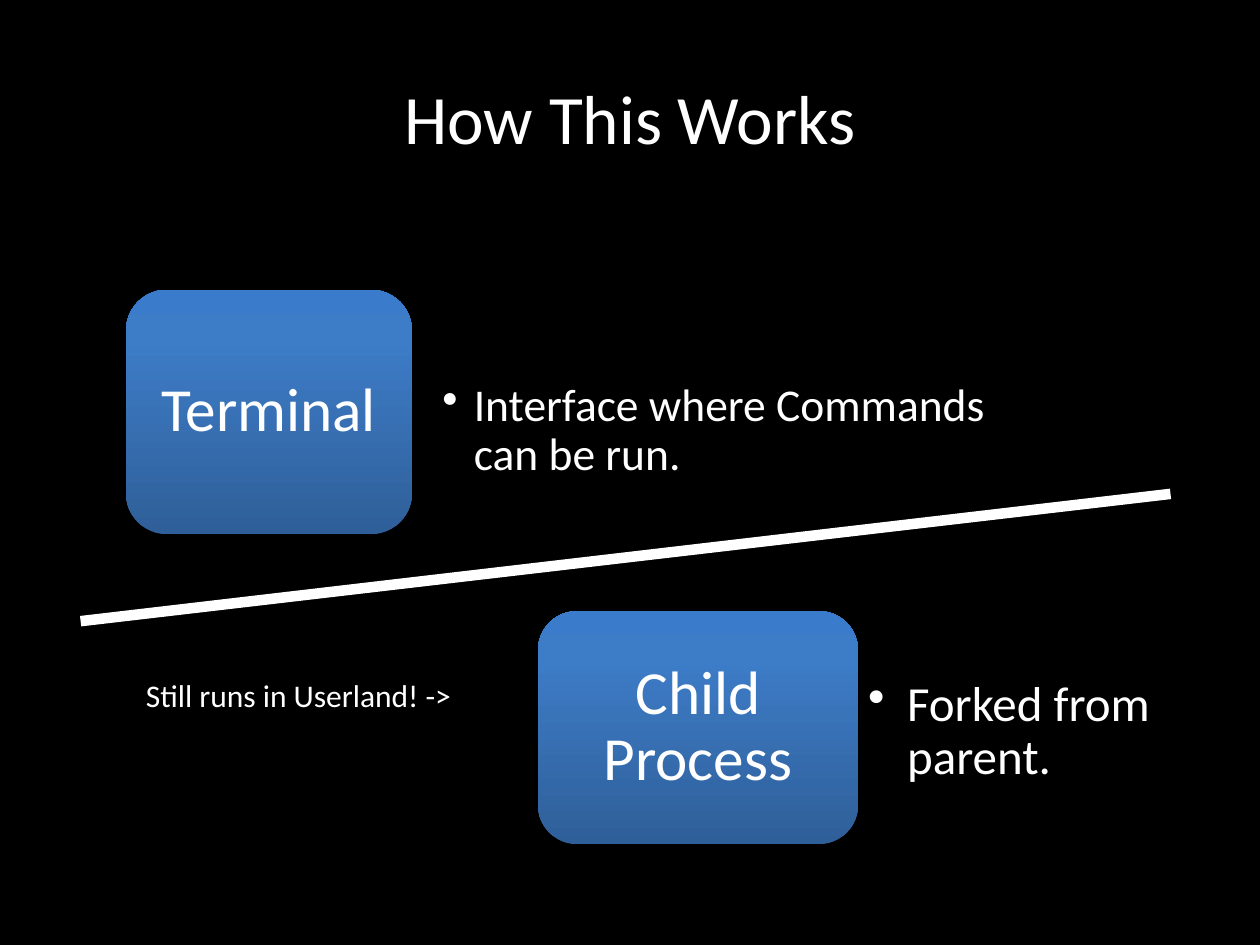
from copy import deepcopy
from dataclasses import dataclass

from lxml import etree
from pptx import Presentation
from pptx.dml.color import RGBColor
from pptx.enum import shapes, text
from pptx.oxml import ns
from pptx.util import Inches, Pt


@dataclass(frozen=True)
class Theme:
    font: str = "Calibri"
    background: RGBColor = RGBColor(0x00, 0x00, 0x00)
    ink: RGBColor = RGBColor(0xFF, 0xFF, 0xFF)
    gradient: tuple = ((0, "2F5F99"), (0.8, "3D7CC7"), (1, "3A7CCB"))
    title: float = 39.6
    step: float = 35
    note: float = 18
    divider: float = 6


THEME = Theme()


def write(sp, wording, size, align=text.PP_ALIGN.LEFT, anchor=text.MSO_ANCHOR.MIDDLE,
          inset=None, spacing=None):
    tf = sp.text_frame
    tf.word_wrap = True
    tf.vertical_anchor = anchor
    if inset is not None:
        tf.margin_left = tf.margin_right = Inches(inset)
        tf.margin_top = tf.margin_bottom = Inches(inset)
    p = tf.paragraphs[0]
    p.text = wording
    p.alignment = align
    p.line_spacing = spacing
    p.font.name = THEME.font
    p.font.size = Pt(size)
    p.font.color.rgb = THEME.ink
    return p


def add_text(s, box, wording, size, **style):
    return write(s.shapes.add_textbox(*map(Inches, box)), wording, size, **style)


def fill_gradient(sp):
    sp.fill.gradient()
    sp.fill.gradient_angle = 90
    stop_list = sp.element.spPr.find(ns.qn("a:gradFill")).find(ns.qn("a:gsLst"))
    stop_list.append(deepcopy(stop_list[-1]))
    for stop, (position, color) in zip(sp.fill.gradient_stops, THEME.gradient):
        stop.position = position
        stop.color.rgb = RGBColor.from_string(color)


def add_step(s, box, wording):
    sp = s.shapes.add_shape(shapes.MSO_SHAPE.ROUNDED_RECTANGLE, *map(Inches, box))
    sp.adjustments[0] = 0.167
    sp.shadow.inherit = False
    sp.line.fill.background()
    fill_gradient(sp)
    write(sp, wording, THEME.step, align=text.PP_ALIGN.CENTER, inset=0.15, spacing=0.9)


def add_bullet(s, box, wording, size, indent, inset):
    p = add_text(s, box, wording, size, inset=inset, spacing=0.9)
    props = p._p.get_or_add_pPr()
    props.set("marL", str(Inches(indent)))
    props.set("indent", str(-Inches(indent)))
    bullet = etree.Element(ns.qn("a:buChar"), char="•")
    props.insert_element_before(bullet, "a:tabLst", "a:defRPr", "a:extLst")


def add_divider(s, start, end):
    line = s.shapes.add_connector(shapes.MSO_CONNECTOR.STRAIGHT, *map(Inches, start + end))
    line.line.color.rgb = THEME.ink
    line.line.width = Pt(THEME.divider)
    etree.SubElement(line.element.spPr, ns.qn("a:effectLst"))


def main():
    prs = Presentation()
    prs.slide_width, prs.slide_height = Inches(10), Inches(7.5)
    s = prs.slides.add_slide(prs.slide_layouts[6])
    s.background.fill.solid()
    s.background.fill.fore_color.rgb = THEME.background

    add_text(s, (0.5, 0.3, 9, 1.25), "How This Works", THEME.title,
             align=text.PP_ALIGN.CENTER)
    add_step(s, (1, 2.3, 2.27, 1.94), "Terminal")
    add_bullet(s, (3.37, 2.88, 4.62, 1.09), "Interface where Commands can be run.",
               size=26, indent=0.25, inset=0.14)
    add_step(s, (4.27, 4.85, 2.54, 1.85), "Child Process")
    add_bullet(s, (6.74, 5.05, 2.58, 1.52), "Forked from parent.",
               size=28, indent=0.31, inset=0.15)
    add_divider(s, (0.64, 4.93), (9.29, 3.92))
    add_text(s, (1.06, 5.32, 2.79, 0.4), "Still runs in Userland! ->", THEME.note,
             anchor=text.MSO_ANCHOR.TOP)
    prs.save("out.pptx")


if __name__ == "__main__":
    main()
